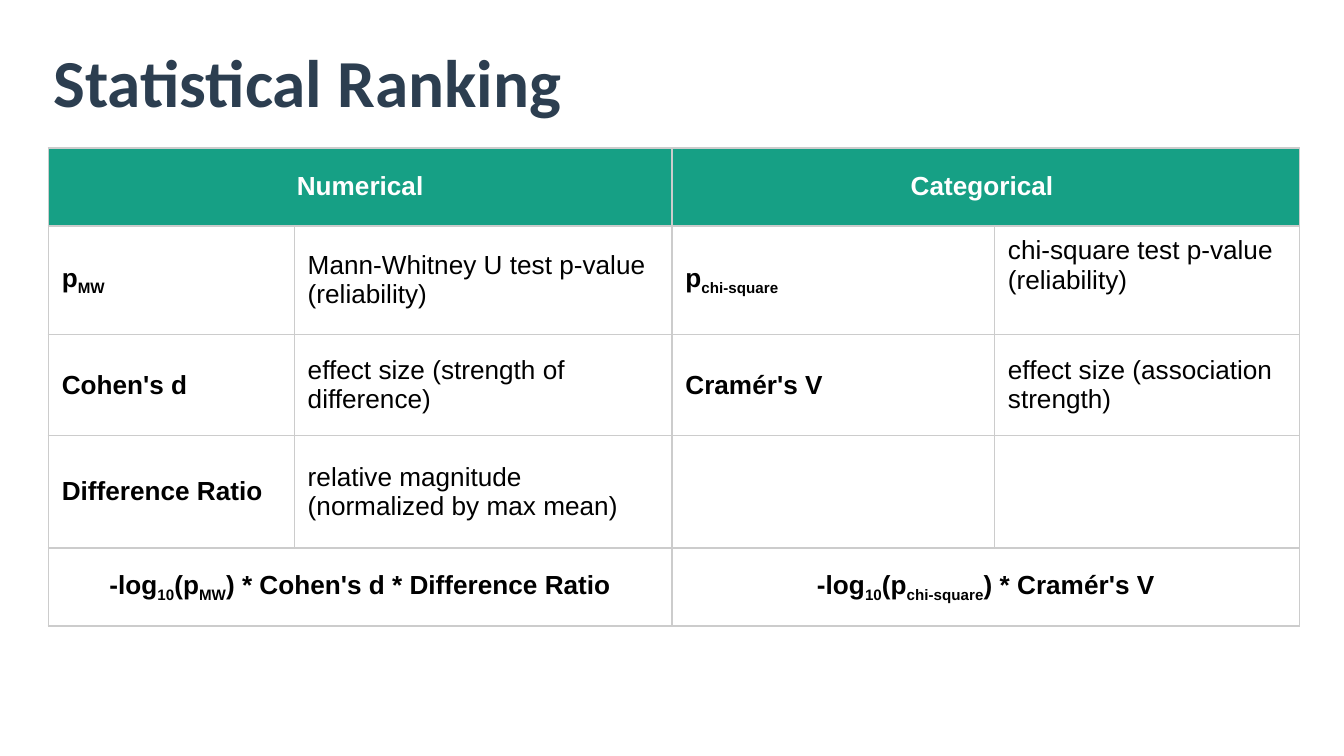
from dataclasses import dataclass
from lxml.etree import SubElement
from pptx import Presentation
from pptx.dml.color import RGBColor
from pptx.enum.text import MSO_ANCHOR, PP_ALIGN
from pptx.oxml.ns import qn
from pptx.util import Inches, Pt


@dataclass(frozen=True)
class Theme:
    ink: str = "000000"
    navy: str = "2C3E50"
    green: str = "16A085"
    white: str = "FFFFFF"
    rule: str = "CCCCCC"
    head: str = "Calibri"
    body: str = "Arial"
    big: int = 36
    small: int = 14


THEME = Theme()
WIDTH = 10
HEIGHT = WIDTH * 9 / 16
COLS = (1.83, 2.81, 2.4, 2.27)
ROWS = (0.58, 0.81, 0.75, 0.84, 0.58)
LIFT = 0.22  # one line of body text

HEADS = ("Numerical", "Categorical ")
TERMS = (
    ("p|MW", "Mann-Whitney U test p-value (reliability)",
     "p|chi-square", "chi-square test p-value (reliability)"),
    ("Cohen's d", "effect size (strength of difference)",
     "Cramér's V", "effect size (association strength)"),
    ("Difference Ratio", "relative magnitude (normalized by max mean)", "", ""),
)
SCORES = ("-log|10|(p|MW|) * Cohen's d * Difference Ratio",
          "-log|10|(p|chi-square|) * Cramér's V")


def apply(target, values):
    for name, value in values.items():
        setattr(target, name, value)


def write(para, text, font, size, color, bold=True):
    """Add runs split at bars; every second one is a subscript."""
    for index, part in enumerate(text.split("|")):
        run = para.add_run()
        run.text = part
        apply(run.font, {"name": font, "size": Pt(size), "bold": bold})
        run.font.color.rgb = RGBColor.from_string(color)
        if index % 2:
            run.font._element.set("baseline", "-25000")


def add_title(slide, text):
    box = slide.shapes.add_textbox(*map(Inches, (0.3, 0.3, 0.9 * WIDTH, 0.6)))
    apply(box.text_frame, {"word_wrap": True, "vertical_anchor": MSO_ANCHOR.MIDDLE})
    write(box.text_frame.paragraphs[0], text, THEME.head, THEME.big, THEME.navy)


def add_rules(cell):
    props = cell._tc.get_or_add_tcPr()
    for side in ("lnL", "lnR", "lnT", "lnB"):
        line = SubElement(props, qn(f"a:{side}"), w=str(Pt(1)))
        fill = SubElement(line, qn("a:solidFill"))
        SubElement(fill, qn("a:srgbClr"), val=THEME.rule)


def add_grid(slide):
    frame = slide.shapes.add_table(
        len(ROWS), len(COLS),
        *map(Inches, (0.36, 1.1, sum(COLS), sum(ROWS))))
    table = frame.table
    apply(table, {"first_row": False, "horz_banding": False})
    for col, width in zip(table.columns, COLS):
        col.width = Inches(width)
    for row, height in zip(table.rows, ROWS):
        row.height = Inches(height)
    for cell in table.iter_cells():
        apply(cell, {"vertical_anchor": MSO_ANCHOR.MIDDLE,
                     "margin_left": Inches(0.1), "margin_right": Inches(0.1),
                     "margin_top": Inches(0.05), "margin_bottom": Inches(0.05)})
        add_rules(cell)
        cell.fill.background()
    return table


def fill_pair(table, row, texts, color, fill=None):
    """Fill a row of two merged cells, each two columns wide."""
    for index, text in enumerate(texts):
        cell = table.cell(row, 2 * index)
        cell.merge(table.cell(row, 2 * index + 1))
        if fill:
            cell.fill.solid()
            cell.fill.fore_color.rgb = RGBColor.from_string(fill)
        para = cell.text_frame.paragraphs[0]
        para.alignment = PP_ALIGN.CENTER
        write(para, text, THEME.body, THEME.small, color)


def fill_terms(table):
    for row, texts in enumerate(TERMS, 1):
        for col, text in enumerate(texts):
            if text:
                write(table.cell(row, col).text_frame.paragraphs[0], text,
                      THEME.body, THEME.small, THEME.ink, bold=col % 2 == 0)
    table.cell(1, 3).margin_bottom = Inches(0.05 + LIFT)


def main():
    deck = Presentation()
    apply(deck, {"slide_width": Inches(WIDTH), "slide_height": Inches(HEIGHT)})
    slide = deck.slides.add_slide(deck.slide_layouts[6])
    add_title(slide, "Statistical Ranking")
    table = add_grid(slide)
    fill_pair(table, 0, HEADS, THEME.white, THEME.green)
    fill_terms(table)
    fill_pair(table, len(ROWS) - 1, SCORES, THEME.ink)
    deck.save("out.pptx")


if __name__ == "__main__":
    main()
